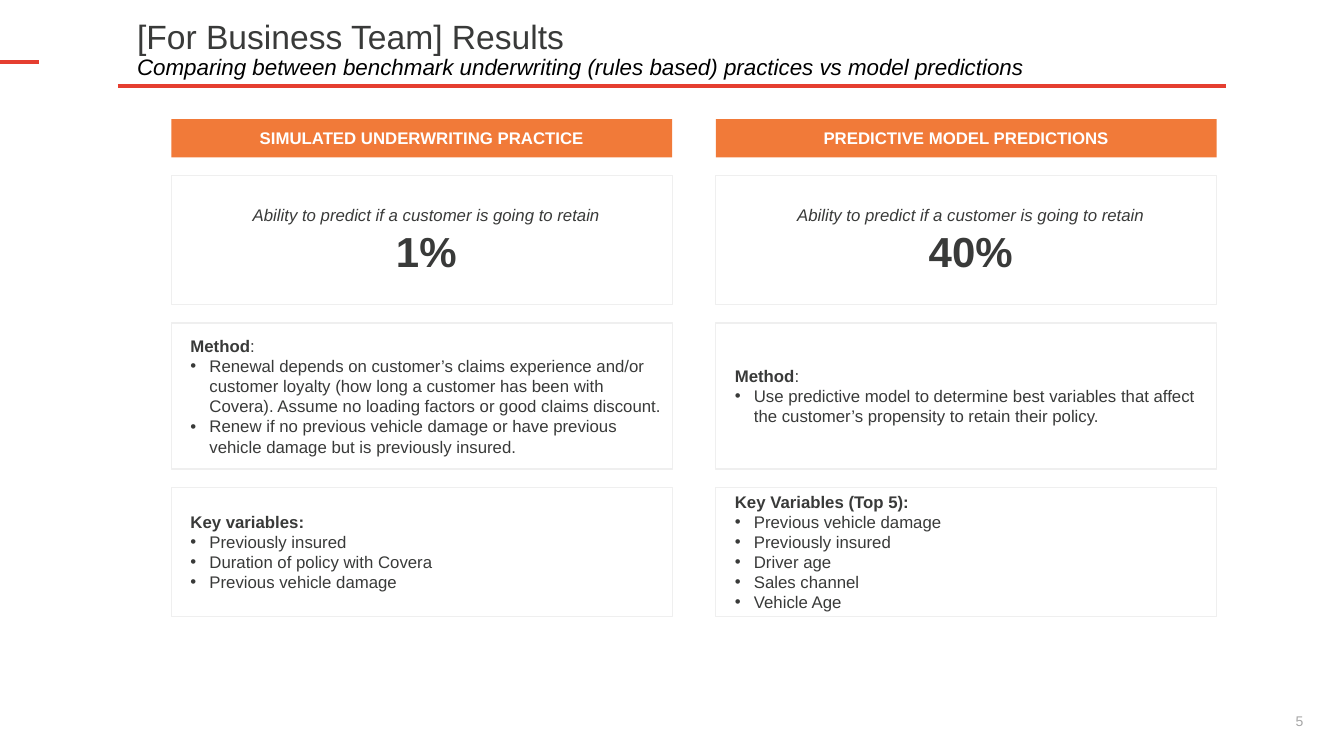
from pptx import Presentation
from pptx.dml.color import RGBColor
from pptx.enum.shapes import MSO_CONNECTOR as Connector, MSO_SHAPE as Shape
from pptx.enum.text import MSO_ANCHOR as Anchor, MSO_AUTO_SIZE as AutoSize, PP_ALIGN as Align
from pptx.oxml.ns import qn
from pptx.util import Cm, Pt
from lxml.etree import SubElement

RED, ORANGE, WHITE, BORDER = "E53E30", "F17A39", "FFFFFF", "EFEFEF"
DARK, BLACK, GREY = "393A39", "000000", "A6A6A6"


def color(value):
    return RGBColor.from_string(value)


def add_run(paragraph, text, size, ink, bold=False, italic=False):
    run = paragraph.add_run()
    run.text = text
    font = run.font
    font.name, font.size, font.bold, font.italic = "Arial", Pt(size), bold, italic
    font.color.rgb = color(ink)


presentation = Presentation()
presentation.slide_width, presentation.slide_height = Cm(33.87), Cm(19.05)
slide = presentation.slides.add_slide(presentation.slide_layouts[5])

# Red rules beside and below the title
for start, end, height in [(2.97, 30.89, 2.16), (0, 0.99, 1.57)]:
    rule = slide.shapes.add_connector(
        Connector.STRAIGHT, Cm(start), Cm(height), Cm(end), Cm(height))
    rule.line.color.rgb = color(RED)
    rule.line.width = Pt(3)
    SubElement(rule._element.spPr, qn("a:effectLst"))

# Title with subtitle
title = slide.shapes.title
title.left, title.top, title.width, title.height = Cm(3.2), Cm(0), Cm(27.46), Cm(2.16)
title_frame = title.text_frame
title_frame.auto_size = AutoSize.NONE
title_frame.vertical_anchor = Anchor.BOTTOM
paragraph = title_frame.paragraphs[0]
paragraph.alignment = Align.LEFT
paragraph.line_spacing = 0.9
add_run(paragraph, "[For Business Team] Results", 24, DARK)
paragraph.add_line_break()
add_run(paragraph, "Comparing between benchmark underwriting (rules based) practices "
        "vs model predictions", 16, BLACK, italic=True)

# Slide number
number = slide.shapes.add_textbox(Cm(32.05), Cm(17.65), Cm(1.4), Cm(1.02))
number.text_frame.word_wrap = True
number.text_frame.vertical_anchor = Anchor.MIDDLE
paragraph = number.text_frame.paragraphs[0]
paragraph.alignment = Align.CENTER
add_run(paragraph, "5", 10, GREY)

# Comparison columns: each cell is a list of (style, text)
ability = ("caption", "Ability to predict if a customer is going to retain")
columns = [
    [
        [("header", "SIMULATED UNDERWRITING PRACTICE")],
        [ability, ("figure", "1%")],
        [("method", "Method"),
         ("bullet", "Renewal depends on customer’s claims experience and/or customer loyalty "
                    "(how long a customer has been with Covera). Assume no loading factors "
                    "or good claims discount."),
         ("bullet", "Renew if no previous vehicle damage or have previous vehicle damage "
                    "but is previously insured.")],
        [("heading", "Key variables:"),
         ("bullet", "Previously insured"),
         ("bullet", "Duration of policy with Covera"),
         ("bullet", "Previous vehicle damage")],
    ],
    [
        [("header", "PREDICTIVE MODEL PREDICTIONS")],
        [ability, ("figure", "40%")],
        [("method", "Method"),
         ("bullet", "Use predictive model to determine best variables that affect "
                    "the customer’s propensity to retain their policy.")],
        [("heading", "Key Variables (Top 5):"),
         ("bullet", "Previous vehicle damage"),
         ("bullet", "Previously insured"),
         ("bullet", "Driver age"),
         ("bullet", "Sales channel"),
         ("bullet", "Vehicle Age")],
    ],
]
row_heights = [0.97, 3.25, 3.68, 3.25]
row_gap = 0.46
column_width, column_step = 12.62, 13.72

for column_index, cells in enumerate(columns):
    left, top = 4.32 + column_index * column_step, 3.0
    for row_index, (height, lines) in enumerate(zip(row_heights, cells)):
        is_header = row_index == 0
        box = slide.shapes.add_shape(
            Shape.RECTANGLE, Cm(left), Cm(top), Cm(column_width), Cm(height))
        top += height + row_gap
        box.shadow.inherit = False
        box.fill.solid()
        box.fill.fore_color.rgb = color(ORANGE if is_header else WHITE)
        if is_header:
            box.line.fill.background()
        else:
            box.line.color.rgb = color(BORDER)
            box.line.width = Pt(0.75)

        frame = box.text_frame
        frame.word_wrap = True
        frame.vertical_anchor = Anchor.MIDDLE
        frame.margin_left = frame.margin_right = Cm(0.25)
        frame.margin_top = frame.margin_bottom = Cm(0.25)

        for line_index, (style, text) in enumerate(lines):
            paragraph = frame.add_paragraph() if line_index else frame.paragraphs[0]
            centred = style in ("header", "caption", "figure")
            paragraph.alignment = Align.CENTER if centred else Align.LEFT
            add_run(paragraph, text, 30 if style == "figure" else 12,
                    WHITE if is_header else DARK,
                    bold=style not in ("caption", "bullet"), italic=style == "caption")
            if style == "method":
                add_run(paragraph, ":", 12, DARK)
            properties = paragraph._p.get_or_add_pPr()
            if style == "bullet":
                properties.set("marL", str(Cm(0.71)))
                properties.set("indent", str(Cm(-0.48)))
                SubElement(properties, qn("a:buFont"), typeface="Arial")
                SubElement(properties, qn("a:buChar"), char="•")
            elif not is_header:
                properties.set("marL", str(Cm(0.23)))

presentation.save("out.pptx")
